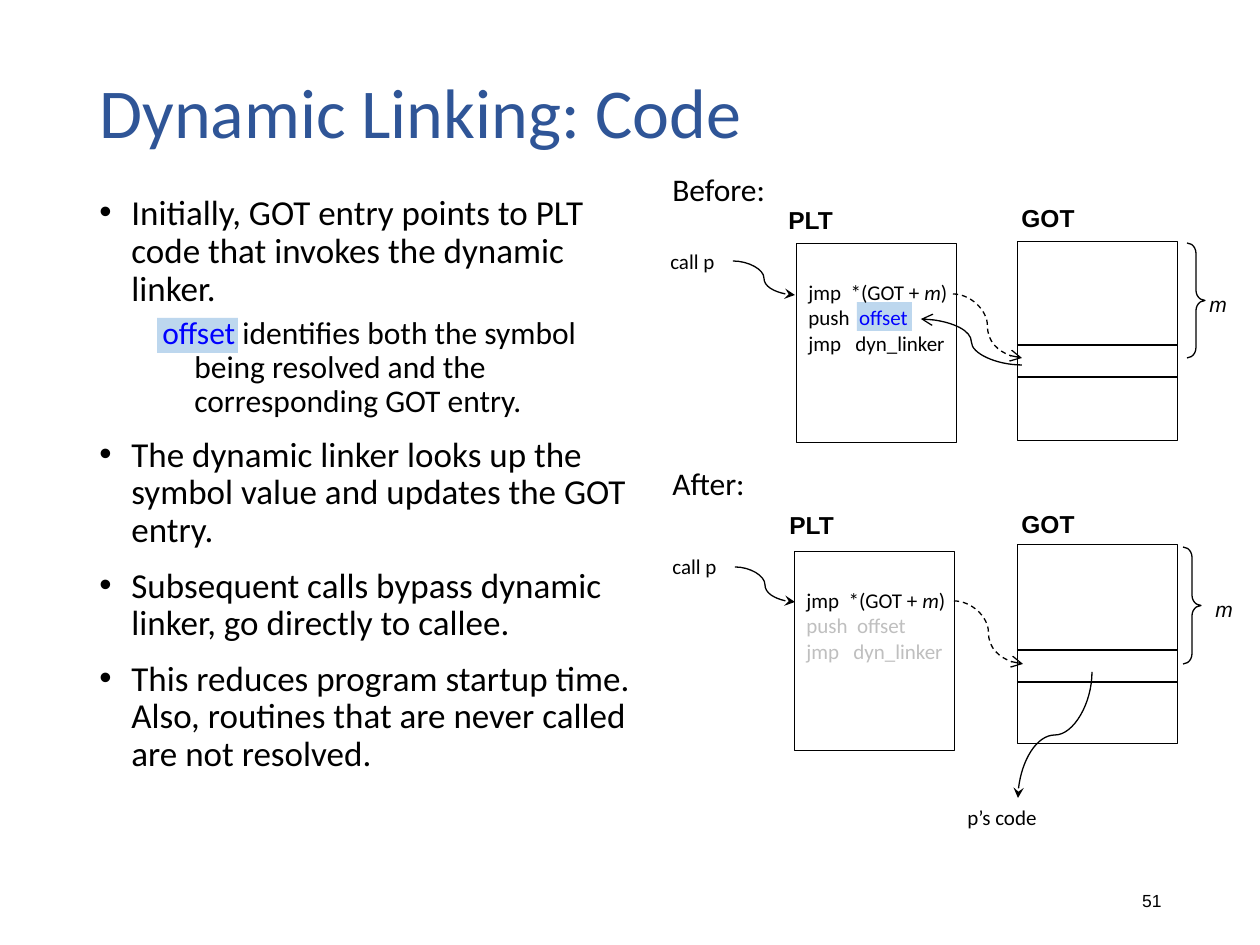
from lxml import etree
from pptx import Presentation
from pptx.dml.color import RGBColor
from pptx.enum.dml import MSO_LINE
from pptx.enum.shapes import MSO_CONNECTOR, MSO_SHAPE
from pptx.enum.text import MSO_ANCHOR, PP_ALIGN
from pptx.oxml.ns import qn
from pptx.util import Emu, Pt

RECTANGLE, BRACE = MSO_SHAPE.RECTANGLE, MSO_SHAPE.RIGHT_BRACE
STRAIGHT, CURVE = MSO_CONNECTOR.STRAIGHT, MSO_CONNECTOR.CURVE
DASH = MSO_LINE.DASH
TOP, MIDDLE = MSO_ANCHOR.TOP, MSO_ANCHOR.MIDDLE
LEFT, RIGHT = PP_ALIGN.LEFT, PP_ALIGN.RIGHT

BLACK = RGBColor(0x00, 0x00, 0x00)
TITLE_BLUE = RGBColor(0x2F, 0x55, 0x97)
OFFSET_BLUE = RGBColor(0x00, 0x00, 0xFF)
HIGHLIGHT = RGBColor(0xBD, 0xD7, 0xEE)
FADED = RGBColor(0xBF, 0xBF, 0xBF)

PX_PER_INCH = 126
BOX_SIZE = (160, 199)
HIGHLIGHTS = [(157, 318, 81, 35), (857, 302, 55, 29)]
BLUE = {"color": OFFSET_BLUE}
GRAY = {"color": FADED}
ITALIC = {"italic": True}

BULLETS = [
    (0, ["Initially, GOT entry points to PLT code that invokes the dynamic linker."]),
    (1, [("offset", BLUE), " identifies both the symbol being resolved and the corresponding GOT entry."]),
    (0, ["The dynamic linker looks up the symbol value and updates the GOT entry."]),
    (0, ["Subsequent calls bypass dynamic linker, go directly to callee."]),
    (0, ["This reduces program startup time.  Also, routines that are never called are not resolved."]),
]
LEVELS = [
    {"size": 20, "bullet": "•", "margin": 32, "hanging": 32, "before": 10},
    {"size": 18, "margin": 95, "hanging": 32, "before": 5},
]
JUMP = ["jmp  *(GOT + ", ("m", ITALIC), ")"]
STAGES = [
    {
        "heading": ("Before:", (660, 168, 568, 284)),
        "plt": (796, 243), "plt_label": (776, 199),
        "got": (1017, 241), "got_label": (1009, 197),
        "code": [JUMP, ["push  ", ("offset", BLUE)], ["jmp   dyn_linker"]],
        "rows": (345, 377),
        "call_label": (658, 242), "call": ((733, 261), (795, 295)),
        "lookup": ((953, 294), (1022, 358)),
        "brace": (1187, 243, 18, 115), "m_label": (1197, 285),
    },
    {
        "heading": ("After:", (660, 462, 554, 383)),
        "plt": (794, 551), "plt_label": (777, 504),
        "got": (1017, 544), "got_label": (1009, 503),
        "code": [JUMP, [("push  offset", GRAY)], [("jmp   dyn_linker", GRAY)]],
        "rows": (650, 682),
        "call_label": (660, 547), "call": ((735, 567), (795, 602)),
        "lookup": ((954, 601), (1023, 664)),
        "brace": (1183, 547, 18, 117), "m_label": (1203, 590),
    },
]
RETURN_TO_PLT = ((1022, 365), (921, 319))
JUMP_TO_CALLEE = ((1092, 672), (1018, 798))


def px(value):
    return Emu(round(value * 914400 / PX_PER_INCH))


def write_paragraph(paragraph, runs, *, size=12, font="Calibri", color=BLACK, bold=False,
                    italic=False, align=LEFT, spacing=None, before=None,
                    margin=0, hanging=0, bullet=None):
    paragraph.alignment = align
    paragraph.line_spacing = spacing
    if before:
        paragraph.space_before = Pt(before)
    properties = paragraph._p.get_or_add_pPr()
    properties.set("marL", str(px(margin)))
    properties.set("indent", str(-px(hanging)))
    if bullet:
        etree.SubElement(properties, qn("a:buFont"), typeface="Arial")
        etree.SubElement(properties, qn("a:buChar"), char=bullet)
    for item in runs:
        content, changes = (item, {}) if isinstance(item, str) else item
        run = paragraph.add_run()
        run.text = content
        run.font.name = font
        run.font.size = Pt(size)
        run.font.bold = bold
        run.font.italic = changes.get("italic", italic)
        run.font.color.rgb = changes.get("color", color)


def write(shape, paragraphs, *, anchor=TOP, wrap=True, **style):
    frame = shape.text_frame
    frame.word_wrap = wrap
    frame.vertical_anchor = anchor
    for index, (runs, changes) in enumerate(paragraphs):
        paragraph = frame.add_paragraph() if index else frame.paragraphs[0]
        write_paragraph(paragraph, runs, **{**style, **changes})


def add_text(slide, text, area, **style):
    write(slide.shapes.add_textbox(*map(px, area)), [([text], {})], **style)


def add_outline(slide, kind, area, width=None, fill=None):
    shape = slide.shapes.add_shape(kind, *map(px, area))
    shape.shadow.inherit = False
    if fill is None:
        shape.fill.background()
    else:
        shape.fill.solid()
        shape.fill.fore_color.rgb = fill
    if width is None:
        shape.line.fill.background()
    else:
        shape.line.color.rgb = BLACK
        shape.line.width = Pt(width)
    return shape


def add_line(slide, kind, start, end, head=None, dash=None, vertical=False):
    (x1, y1), (x2, y2) = start, end
    if vertical:
        middle_x, middle_y = (x1 + x2) / 2, (y1 + y2) / 2
        half_width, half_height = abs(y2 - y1) / 2, abs(x2 - x1) / 2
        x1, x2 = middle_x - half_width, middle_x + half_width
        y1, y2 = middle_y - half_height, middle_y + half_height
    connector = slide.shapes.add_connector(kind, px(x1), px(y1), px(x2), px(y2))
    properties = connector._element.spPr
    if vertical:
        properties.find(qn("a:xfrm")).set("rot", "5400000")
    connector.line.color.rgb = BLACK
    connector.line.width = Pt(0.75)
    if dash:
        connector.line.dash_style = dash
    if head:
        etree.SubElement(connector.line._get_or_add_ln(), qn("a:tailEnd"),
                         type=head, w="med", len="med")
    etree.SubElement(properties, qn("a:effectLst"))


def add_stage(slide, stage):
    heading, heading_area = stage["heading"]
    add_text(slide, heading, heading_area, size=18, spacing=0.9, before=10,
             margin=32, hanging=32)
    plt_box = add_outline(slide, RECTANGLE, stage["plt"] + BOX_SIZE, 0.25)
    plt_box.text_frame.margin_bottom = px(56)
    write(plt_box, [(runs, {}) for runs in stage["code"]], anchor=MIDDLE, wrap=False)
    add_outline(slide, RECTANGLE, stage["got"] + BOX_SIZE, 0.25)
    left = stage["got"][0]
    for y in stage["rows"]:
        add_line(slide, STRAIGHT, (left, y), (left + BOX_SIZE[0], y))
    brace = add_outline(slide, BRACE, stage["brace"], 0.75)
    brace.adjustments[0] = 0.58
    for name, key, width in (("PLT", "plt_label", 71), ("GOT", "got_label", 79)):
        add_text(slide, name, stage[key] + (width, 43), size=14, font="Arial",
                 bold=True, wrap=False)
    add_text(slide, "call p", stage["call_label"] + (74, 38))
    add_text(slide, "m", stage["m_label"] + (43, 38), font="Arial", italic=True, wrap=False)
    add_line(slide, CURVE, *stage["call"], head="stealth")
    add_line(slide, CURVE, *stage["lookup"], head="arrow", dash=DASH)


def main():
    presentation = Presentation()
    presentation.slide_width, presentation.slide_height = px(1260), px(945)
    slide = presentation.slides.add_slide(presentation.slide_layouts[6])
    for area in HIGHLIGHTS:
        add_outline(slide, RECTANGLE, area, fill=HIGHLIGHT)
    add_text(slide, "Dynamic Linking: Code", (87, 50, 1087, 132), size=40,
             color=TITLE_BLUE, anchor=MIDDLE, spacing=0.9)
    body = slide.shapes.add_textbox(*map(px, (87, 189, 577, 667)))
    write(body, [(runs, LEVELS[level]) for level, runs in BULLETS], spacing=0.9)
    for stage in STAGES:
        add_stage(slide, stage)
    add_line(slide, CURVE, *RETURN_TO_PLT, head="arrow")
    add_line(slide, CURVE, *JUMP_TO_CALLEE, head="stealth", vertical=True)
    add_text(slide, "p’s code", (955, 798, 103, 38), wrap=False)
    add_text(slide, "51", (890, 876, 284, 50), size=10, font="Arial",
             anchor=MIDDLE, align=RIGHT)
    presentation.save("out.pptx")


if __name__ == "__main__":
    main()
